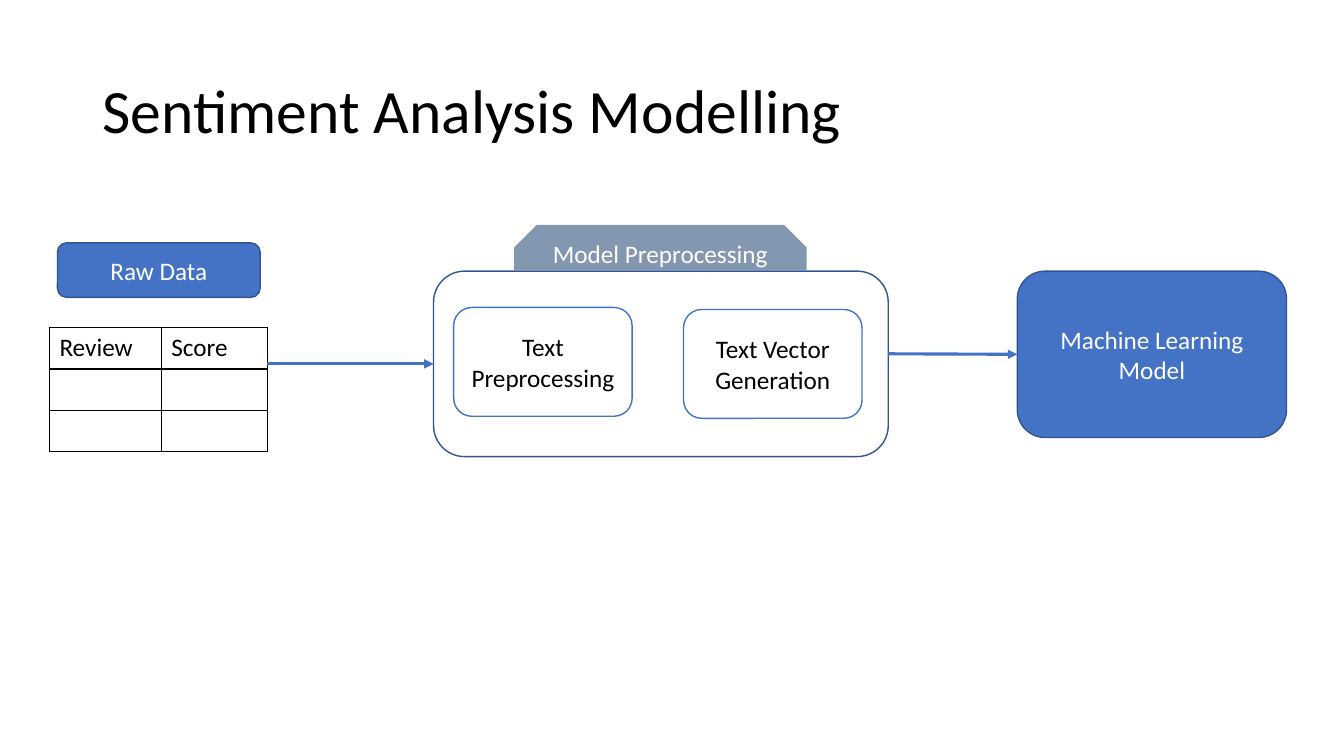
"""Build the sentiment analysis modelling slide."""
from lxml import etree
from pptx import Presentation
from pptx.dml.color import RGBColor
from pptx.enum import shapes, text
from pptx.oxml import ns
from pptx.util import Inches, Pt

BLACK = RGBColor(0x00, 0x00, 0x00)
WHITE = RGBColor(0xFF, 0xFF, 0xFF)
BLUE = RGBColor(0x44, 0x72, 0xC4)
DARK_BLUE = RGBColor(0x32, 0x54, 0x91)
SLATE = RGBColor(0x84, 0x97, 0xB0)
FONT = "Calibri"
ROUND = shapes.MSO_SHAPE.ROUNDED_RECTANGLE
SNIP = shapes.MSO_SHAPE.SNIP_2_SAME_RECTANGLE


def add_run(p, words, color, size=18):
    """Append a formatted run to a paragraph."""
    r = p.add_run()
    r.text = words
    r.font.name = FONT
    r.font.size = Pt(size)
    r.font.color.rgb = color


def add_title(s, words, x, y, w, h):
    """Add the slide title as a vertically centred text box."""
    tf = s.shapes.add_textbox(Inches(x), Inches(y), Inches(w), Inches(h)).text_frame
    tf.word_wrap = True
    tf.vertical_anchor = text.MSO_ANCHOR.MIDDLE
    p = tf.paragraphs[0]
    p.line_spacing = 0.9
    add_run(p, words, BLACK, 44)


def add_box(s, x, y, w, h, words="", fill=None, line=None, color=WHITE, kind=ROUND):
    """Add a shape with an optional fill, outline and centred label."""
    sp = s.shapes.add_shape(kind, Inches(x), Inches(y), Inches(w), Inches(h))
    sp.shadow.inherit = False
    if fill is None:
        sp.fill.background()
    else:
        sp.fill.solid()
        sp.fill.fore_color.rgb = fill
    if line is None:
        sp.line.fill.background()
    else:
        sp.line.color.rgb = line
        sp.line.width = Pt(1)
    if words:
        tf = sp.text_frame
        tf.word_wrap = True
        tf.vertical_anchor = text.MSO_ANCHOR.MIDDLE
        p = tf.paragraphs[0]
        p.alignment = text.PP_ALIGN.CENTER
        add_run(p, words, color)
    return sp


def add_border(cell):
    """Draw a thin black line on every side of a table cell."""
    tcPr = cell._tc.get_or_add_tcPr()
    for side in ("lnL", "lnR", "lnT", "lnB"):
        ln = etree.SubElement(tcPr, ns.qn(f"a:{side}"), w=str(Pt(1)))
        fill = etree.SubElement(ln, ns.qn("a:solidFill"))
        etree.SubElement(fill, ns.qn("a:srgbClr"), val=str(BLACK))


def add_data_table(s, x, y, widths, row_height, headers, row_count):
    """Add a bordered table with a header row and empty data rows."""
    frame = s.shapes.add_table(row_count, len(widths), Inches(x), Inches(y),
                               Inches(sum(widths)), Inches(row_height * row_count))
    table = frame.table
    table.first_row = False
    table.horz_banding = False
    for column, width in zip(table.columns, widths):
        column.width = Inches(width)
    for row in table.rows:
        row.height = Inches(row_height)
    for cell in table.iter_cells():
        add_border(cell)
        cell.fill.background()
    for cell, header in zip(table.rows[0].cells, headers):
        add_run(cell.text_frame.paragraphs[0], header, BLACK)


def add_arrow(s, x, y, target):
    """Add an arrow from a point to the left side of the target shape."""
    cx = s.shapes.add_connector(shapes.MSO_CONNECTOR.STRAIGHT, Inches(x), Inches(y),
                                target.left, Inches(y))
    cx.end_connect(target, 1)
    cx.line.color.rgb = BLUE
    cx.line.width = Pt(2.25)
    etree.SubElement(cx.line._get_or_add_ln(), ns.qn("a:tailEnd"), type="triangle")
    etree.SubElement(cx._element.spPr, ns.qn("a:effectLst"))


def main():
    """Compose the slide and save it."""
    prs = Presentation()
    prs.slide_width, prs.slide_height = Inches(13.33), Inches(7.5)
    s = prs.slides.add_slide(prs.slide_layouts[6])

    add_title(s, "Sentiment Analysis Modelling", 0.92, 0.4, 11.5, 1.45)
    add_data_table(s, 0.49, 3.25, (1.11, 1.05), 0.41, ("Review", "Score"), 3)
    add_box(s, 0.57, 2.41, 2.01, 0.54, "Raw Data", BLUE, DARK_BLUE)
    add_box(s, 4.5, 3.05, 1.77, 1.08, "Text Preprocessing", WHITE, BLUE, BLACK)
    add_box(s, 6.78, 3.07, 1.77, 1.08, "Text Vector Generation", WHITE, BLUE, BLACK)
    preprocessing = add_box(s, 4.3, 2.69, 4.51, 1.84, line=DARK_BLUE)
    model = add_box(s, 10.09, 2.69, 2.67, 1.65, "Machine Learning Model", BLUE, DARK_BLUE)
    tab = add_box(s, 5.1, 2.23, 2.9, 0.45, "Model Preprocessing", SLATE, kind=SNIP)
    tab.adjustments[0] = 0.5
    add_arrow(s, 2.65, 3.61, preprocessing)
    add_arrow(s, 8.81, 3.51, model)

    prs.save("out.pptx")


if __name__ == "__main__":
    main()
